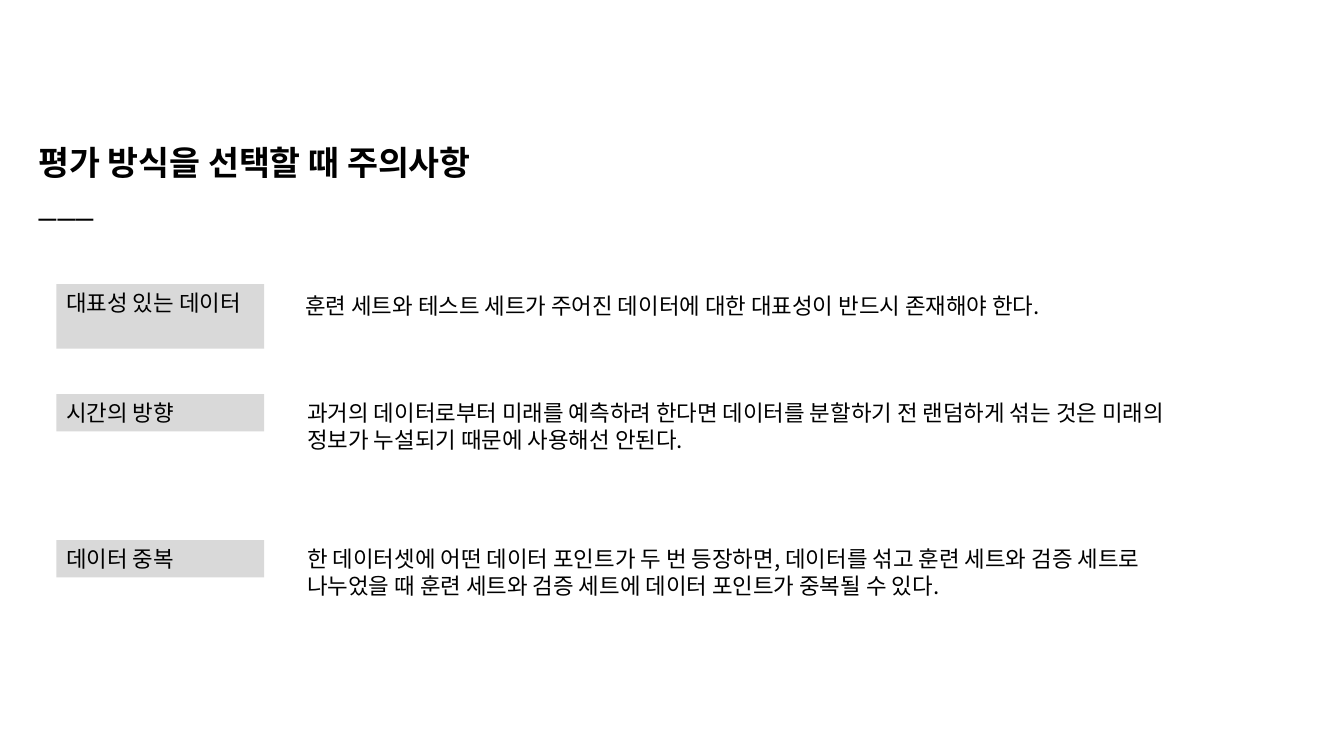
from lxml import etree
from pptx import Presentation
from pptx.dml.color import RGBColor
from pptx.enum.shapes import MSO_SHAPE
from pptx.enum.text import MSO_ANCHOR, MSO_AUTO_SIZE, PP_ALIGN
from pptx.oxml.ns import qn
from pptx.util import Pt

RECTANGLE = MSO_SHAPE.RECTANGLE
TOP = MSO_ANCHOR.TOP
LEFT = PP_ALIGN.LEFT
NO_FIT = MSO_AUTO_SIZE.NONE

PX = 9144  # 100 px to the inch
FONT = "Noto Sans CJK KR"
BLACK, GREY = "000000", "D9D9D9"
TITLE_LAYOUT = 5


def color(value):
    return RGBColor.from_string(value)


def write(box, lines, size):
    """Fill a shape with (text, bold) lines, one paragraph each."""
    frame = box.text_frame
    frame.word_wrap = True
    frame.auto_size = NO_FIT
    frame.vertical_anchor = TOP
    for index, (text, bold) in enumerate(lines):
        para = frame.add_paragraph() if index else frame.paragraphs[0]
        para.alignment = LEFT
        span = para.add_run()
        span.text = text
        span.font.name = FONT
        span.font.size = Pt(size)
        span.font.bold = bold
        span.font.color.rgb = color(BLACK)
        # Hangul takes the East Asian typeface
        east_asian = etree.SubElement(span.font._element, qn("a:ea"))
        east_asian.set("typeface", FONT)


deck = Presentation()
deck.slide_width, deck.slide_height = 1333 * PX, 750 * PX
page = deck.slides.add_slide(deck.slide_layouts[TITLE_LAYOUT])

# Title with its short rule of underscores
title = page.shapes.title
title.left, title.top, title.width, title.height = 28 * PX, 136 * PX, 544 * PX, 91 * PX
write(title, [("평가 방식을 선택할 때 주의사항", True), ("___", False)], 24)

# Rows: label, label top and height, note, note left, top and height
rows = [
    ("대표성 있는 데이터", 282, 64,
     "훈련 세트와 테스트 세트가 주어진 데이터에 대한 대표성이 반드시 존재해야 한다.",
     293, 285, 37),
    ("시간의 방향", 391, 37,
     "과거의 데이터로부터 미래를 예측하려 한다면 데이터를 분할하기 전 랜덤하게 섞는 것은 "
     "미래의 정보가 누설되기 때문에 사용해선 안된다.",
     295, 391, 64),
    ("데이터 중복", 536, 37,
     "한 데이터셋에 어떤 데이터 포인트가 두 번 등장하면, 데이터를 섞고 훈련 세트와 검증 세트로 "
     "나누었을 때 훈련 세트와 검증 세트에 데이터 포인트가 중복될 수 있다.",
     295, 536, 64),
]
for label, label_top, label_height, note, note_left, note_top, note_height in rows:
    tag = page.shapes.add_shape(
        RECTANGLE, 56 * PX, label_top * PX, 206 * PX, label_height * PX)
    tag.shadow.inherit = False
    tag.fill.solid()
    tag.fill.fore_color.rgb = color(GREY)
    tag.line.fill.background()
    write(tag, [(label, False)], 16)

    box = page.shapes.add_textbox(
        note_left * PX, note_top * PX, 922 * PX, note_height * PX)
    write(box, [(note, False)], 16)

deck.save("out.pptx")
